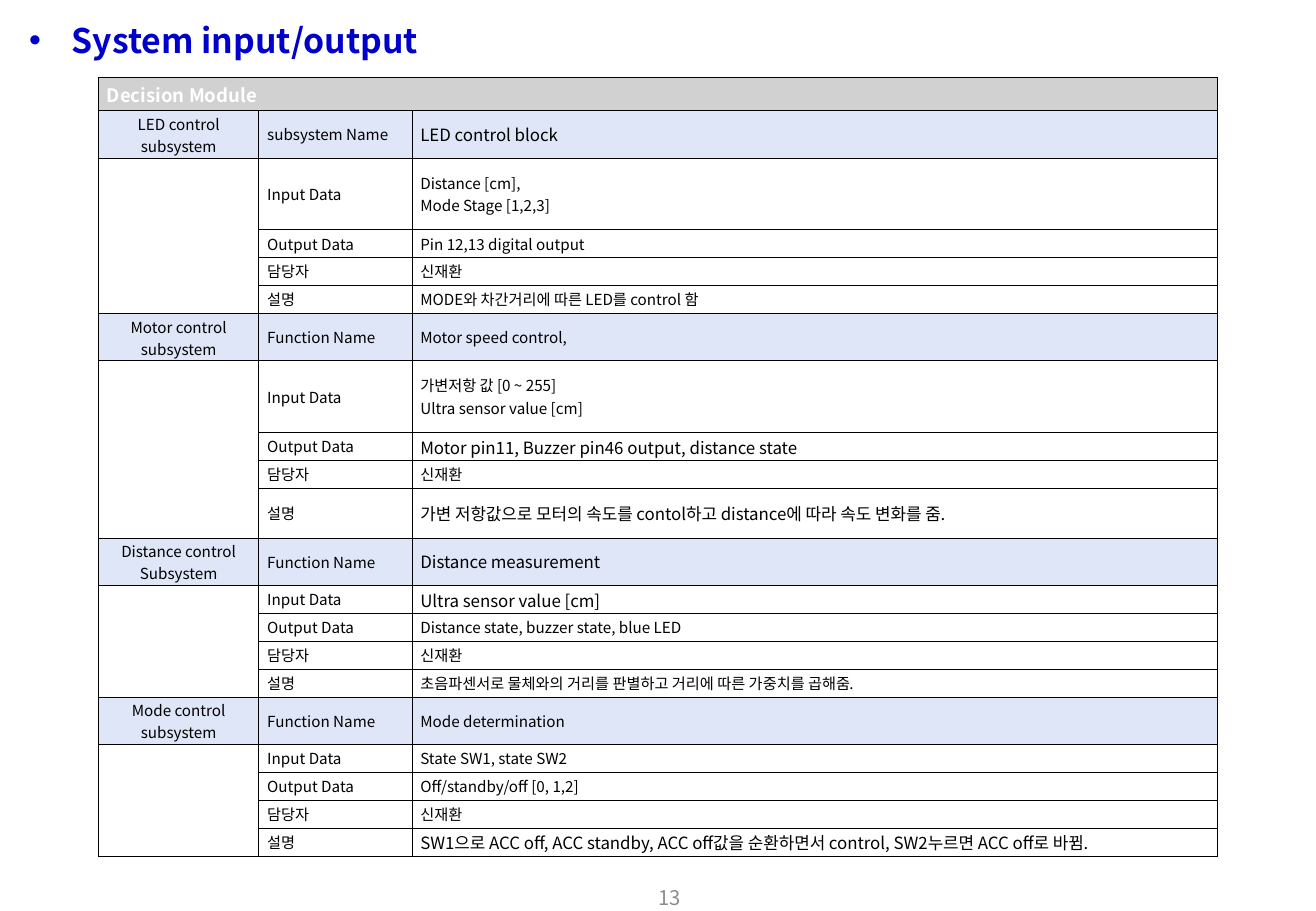
import pptx
import pptx.util
import pptx.dml.color
import pptx.enum.text
from dataclasses import dataclass
from lxml import etree
from pptx.oxml.ns import qn

Inches, Pt = pptx.util.Inches, pptx.util.Pt
ALIGN = pptx.enum.text.PP_ALIGN
MIDDLE = pptx.enum.text.MSO_ANCHOR.MIDDLE


@dataclass(frozen=True)
class Theme:
    font: str = "Noto Sans CJK KR"
    blue: str = "0000CC"
    gray: str = "8C8C8C"
    black: str = "000000"
    white: str = "FFFFFF"
    head: str = "D1D1D1"
    band: str = "DFE6F7"
    title: int = 20
    page: int = 12
    top: int = 11
    large: int = 10
    small: int = 9
    rule: float = 0.43


T = Theme()
COLS = (1.32, 1.26, 6.63)
KEYS = ("Input Data", "Output Data", "담당자", "설명")
TOP, HEAD, LOW, TALL, MID = 0.27, 0.39, 0.23, 0.59, 0.41

# Each block: name, first key, then (text, size, row height) for its five rows
BLOCKS = (
    ("LED control\nsubsystem", "subsystem Name", (
        ("LED control block", T.large, HEAD),
        ("Distance [cm],\nMode Stage [1,2,3]", T.small, TALL),
        ("Pin 12,13 digital output", T.small, LOW),
        ("신재환", T.small, LOW),
        ("MODE와 차간거리에 따른 LED를 control 함", T.small, LOW))),
    ("Motor control\nsubsystem", "Function Name", (
        ("Motor speed control,", T.small, HEAD),
        ("가변저항 값 [0 ~ 255]\nUltra sensor value [cm]", T.small, TALL),
        ("Motor pin11, Buzzer pin46 output, distance state", T.large, LOW),
        ("신재환", T.small, LOW),
        ("가변 저항값으로 모터의 속도를 contol하고 distance에 따라 속도 변화를 줌.",
         T.large, MID))),
    ("Distance control\nSubsystem", "Function Name", (
        ("Distance measurement", T.large, HEAD),
        ("Ultra sensor value [cm]", T.large, LOW),
        ("Distance state, buzzer state, blue LED", T.small, LOW),
        ("신재환", T.small, LOW),
        ("초음파센서로 물체와의 거리를 판별하고 거리에 따른 가중치를 곱해줌.",
         T.small, LOW))),
    ("Mode control\nsubsystem", "Function Name", (
        ("Mode determination", T.small, HEAD),
        ("State SW1, state SW2", T.small, LOW),
        ("Off/standby/off [0, 1,2]", T.small, LOW),
        ("신재환", T.small, LOW),
        ("SW1으로 ACC off, ACC standby, ACC off값을 순환하면서 control, "
         "SW2누르면 ACC off로 바뀜.", T.large, LOW))),
)


def color(code):
    return pptx.dml.color.RGBColor.from_string(code)


def write(frame, text, size=T.small, tint=T.black, bold=False,
          align=ALIGN.LEFT, bullet=None):
    """Fill a text frame, one paragraph per line."""
    for i, line in enumerate(text.split("\n")):
        para = frame.paragraphs[0] if i == 0 else frame.add_paragraph()
        para.alignment = align
        if bullet:
            props = para._p.get_or_add_pPr()
            props.set("marL", str(Inches(0.35)))
            props.set("indent", str(-Inches(0.35)))
            etree.SubElement(props, qn("a:buFont"), typeface="Arial")
            etree.SubElement(props, qn("a:buChar"), char=bullet)
        if not line:
            etree.SubElement(para._p, qn("a:endParaRPr"), sz=str(size * 100))
            continue
        run = para.add_run()
        run.text = line
        font = run.font
        font.name, font.size, font.bold = T.font, Pt(size), bold
        font.color.rgb = color(tint)
        etree.SubElement(run._r.get_or_add_rPr(), qn("a:ea"), typeface=T.font)


def place(shape, box):
    shape.left, shape.top, shape.width, shape.height = map(Inches, box)


def add_title(slide, box):
    shape = slide.shapes.title
    place(shape, box)
    frame = shape.text_frame
    frame.auto_size = pptx.enum.text.MSO_AUTO_SIZE.NONE
    frame.margin_top = frame.margin_bottom = 0
    frame.vertical_anchor = MIDDLE
    write(frame, "System input/output", size=T.title, tint=T.blue,
          bold=True, bullet="•")


def add_page(slide, box):
    frame = slide.shapes.add_textbox(*map(Inches, box)).text_frame
    frame.word_wrap = True
    frame.vertical_anchor = MIDDLE
    write(frame, "13", size=T.page, tint=T.gray, align=ALIGN.RIGHT)


def fill_cell(cell, text, fill, **style):
    """Set the fill, margins, borders and text of one cell."""
    cell.fill.solid()
    cell.fill.fore_color.rgb = color(fill)
    cell.vertical_anchor = MIDDLE
    cell.margin_left = cell.margin_right = Inches(0.07)
    cell.margin_top = cell.margin_bottom = Inches(0.02)
    props = cell._tc.get_or_add_tcPr()
    for i, side in enumerate(("lnL", "lnR", "lnT", "lnB")):
        line = etree.Element(qn("a:" + side), w=str(Pt(T.rule)))
        solid = etree.SubElement(line, qn("a:solidFill"))
        etree.SubElement(solid, qn("a:srgbClr"), val=T.black)
        props.insert(i, line)
    write(cell.text_frame, text, **style)


def add_grid(slide, box):
    tall = [TOP] + [row[2] for block in BLOCKS for row in block[2]]
    table = slide.shapes.add_table(len(tall), len(COLS),
                                   *map(Inches, box)).table
    table.first_row = table.horz_banding = False
    for col, width in zip(table.columns, COLS):
        col.width = Inches(width)
    for row, height in zip(table.rows, tall):
        row.height = Inches(height)

    # Heading across all columns
    for j in range(len(COLS)):
        fill_cell(table.cell(0, j), "" if j else "Decision Module", T.head,
                  size=T.top, tint=T.white, bold=True, align=ALIGN.JUSTIFY)
    table.cell(0, 0).merge(table.cell(0, len(COLS) - 1))

    # Subsystem blocks
    r = 1
    for name, key, rows in BLOCKS:
        first = r
        for label, (text, size, _) in zip((key,) + KEYS, rows):
            fill = T.band if r == first else T.white
            fill_cell(table.cell(r, 0), name if r == first else "", fill,
                      align=ALIGN.CENTER)
            fill_cell(table.cell(r, 1), label, fill)
            fill_cell(table.cell(r, 2), text, fill, size=size,
                      align=ALIGN.JUSTIFY)
            r += 1
        table.cell(first + 1, 0).merge(table.cell(r - 1, 0))


def main():
    deck = pptx.Presentation()
    deck.slide_width, deck.slide_height = Inches(10.83), Inches(7.5)
    slide = deck.slides.add_slide(deck.slide_layouts[5])
    add_title(slide, (0.14, 0.13, 6.53, 0.4))
    add_page(slide, (5.26, 7.19, 0.44, 0.4))
    add_grid(slide, (0.81, 0.64, 9.21, 6.43))
    deck.save("out.pptx")


if __name__ == "__main__":
    main()
